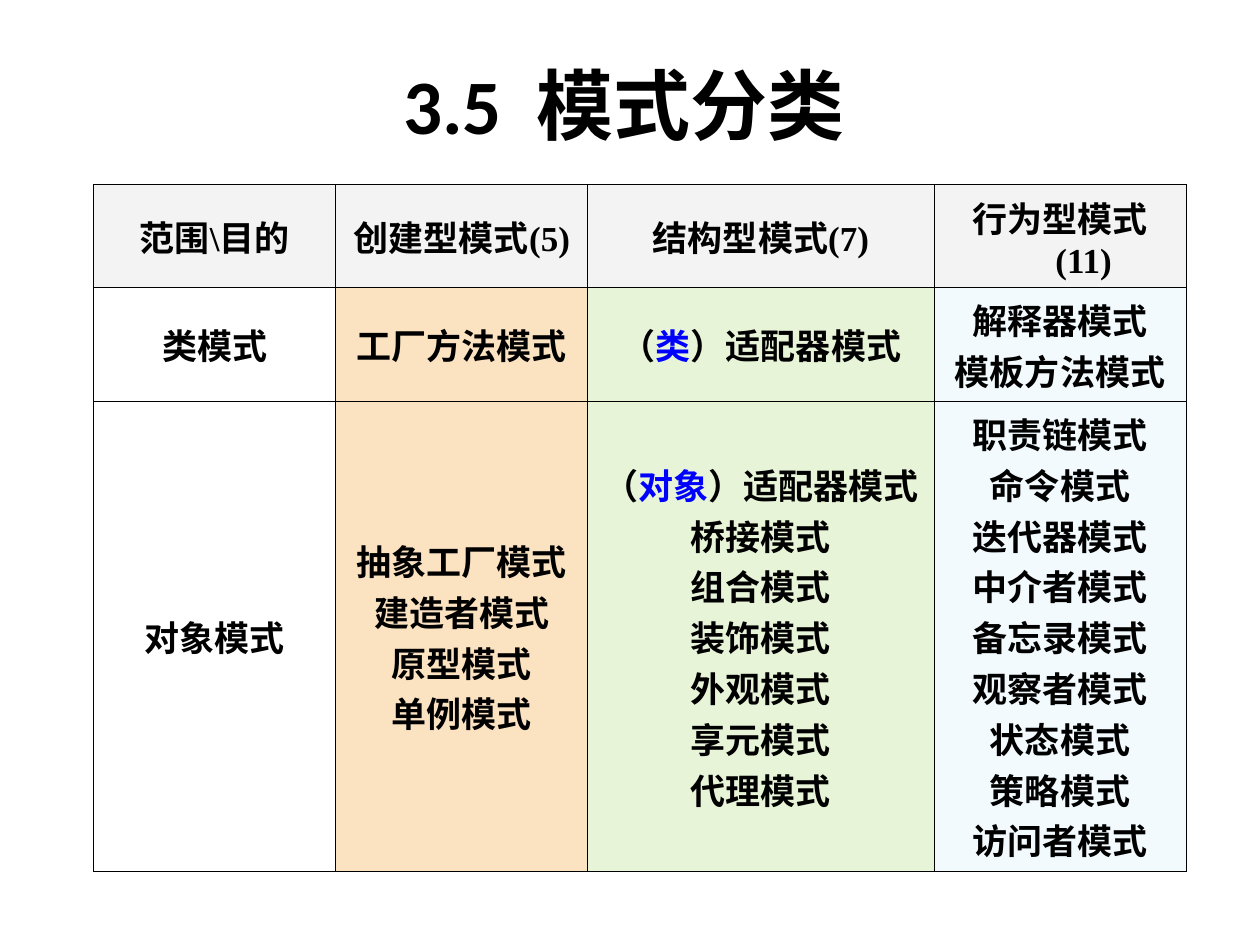
from lxml.etree import SubElement
from pptx import Presentation
from pptx.dml.color import RGBColor
from pptx.enum.text import MSO_ANCHOR, PP_ALIGN
from pptx.oxml.ns import qn
from pptx.util import Cm, Pt

BLACK = RGBColor(0x00, 0x00, 0x00)
BLUE = RGBColor(0x00, 0x00, 0xFF)
GREY = RGBColor(0xF3, 0xF3, 0xF3)
ORANGE = RGBColor(0xFB, 0xE2, 0xC1)
GREEN = RGBColor(0x92, 0xD0, 0x50)
SKY = RGBColor(0x00, 0xB0, 0xF0)

# Column fills below the header: colour and opacity in percent
COLUMN_FILLS = [None, (ORANGE, 100), (GREEN, 22), (SKY, 5)]
COL_WIDTHS = [4.88, 5.08, 6.98, 5.08]
ROW_HEIGHTS = [2.08, 2.29, 9.48]

# One list of lines per cell; bars enclose the blue words
ROWS = [
    [["范围\\目的"], ["创建型模式(5)"], ["结构型模式(7)"], ["行为型模式(11)"]],
    [["类模式"], ["工厂方法模式"], ["（|类|）适配器模式"],
     ["解释器模式", "模板方法模式"]],
    [["对象模式"],
     ["抽象工厂模式", "建造者模式", "原型模式", "单例模式"],
     ["（|对象|）适配器模式", "桥接模式", "组合模式", "装饰模式", "外观模式",
      "享元模式", "代理模式"],
     ["职责链模式", "命令模式", "迭代器模式", "中介者模式", "备忘录模式",
      "观察者模式", "状态模式", "策略模式", "访问者模式"]],
]


class SlideBuilder:
    title_font, title_size = "Calibri", Pt(44)
    body_font, body_size = "Times New Roman", Pt(20)
    hanging = Cm(0.95)
    border = Pt(0.45)

    def __init__(self, slide):
        self.slide = slide

    def paragraph(self, p, text, name, size):
        p.alignment = PP_ALIGN.CENTER
        p.font.name, p.font.size, p.font.bold = name, size, True
        p.font.color.rgb = BLACK
        for i, part in enumerate(text.split("|")):
            r = p.add_run()
            r.text = part
            if i % 2:
                r.font.color.rgb = BLUE

    def title(self, text, left, top, width, height):
        tf = self.slide.shapes.add_textbox(left, top, width, height).text_frame
        tf.word_wrap = True
        tf.vertical_anchor = MSO_ANCHOR.MIDDLE
        self.paragraph(tf.paragraphs[0], text, self.title_font, self.title_size)

    def borders(self, cell):
        tcPr = cell._tc.get_or_add_tcPr()
        for side in ("a:lnL", "a:lnR", "a:lnT", "a:lnB"):
            ln = SubElement(tcPr, qn(side), w=str(self.border))
            fill = SubElement(ln, qn("a:solidFill"))
            SubElement(fill, qn("a:srgbClr"), val=str(BLACK))

    def fill(self, cell, style):
        if style is None:
            cell.fill.background()
            return
        color, opacity = style
        cell.fill.solid()
        cell.fill.fore_color.rgb = color
        if opacity < 100:
            clr = cell._tc.tcPr.find(qn("a:solidFill")).find(qn("a:srgbClr"))
            SubElement(clr, qn("a:alpha"), val=str(opacity * 1000))

    def cell(self, cell, lines, style):
        cell.vertical_anchor = MSO_ANCHOR.MIDDLE
        tf = cell.text_frame
        for i, line in enumerate(lines):
            p = tf.add_paragraph() if i else tf.paragraphs[0]
            self.paragraph(p, line, self.body_font, self.body_size)
            pPr = p._p.get_or_add_pPr()
            pPr.set("marL", str(self.hanging))
            pPr.set("indent", str(-self.hanging))
        self.borders(cell)
        self.fill(cell, style)

    def table(self, rows, left, top):
        table = self.slide.shapes.add_table(
            len(rows), len(COL_WIDTHS), left, top,
            Cm(sum(COL_WIDTHS)), Cm(sum(ROW_HEIGHTS))).table
        table.first_row = table.horz_banding = False
        for column, width in zip(table.columns, COL_WIDTHS):
            column.width = Cm(width)
        for i, row in enumerate(rows):
            table.rows[i].height = Cm(ROW_HEIGHTS[i])
            for j, lines in enumerate(row):
                style = COLUMN_FILLS[j] if i else (GREY, 100)
                self.cell(table.cell(i, j), lines, style)


def main():
    prs = Presentation()
    prs.slide_width, prs.slide_height = Cm(25.4), Cm(19.05)
    s = SlideBuilder(prs.slides.add_slide(prs.slide_layouts[6]))

    # Heading
    s.title("3.5  模式分类", Cm(1.85), Cm(1.14), Cm(21.46), Cm(1.9))

    # Pattern classification
    s.table(ROWS, Cm(1.89), Cm(3.72))

    prs.save("out.pptx")


if __name__ == "__main__":
    main()
